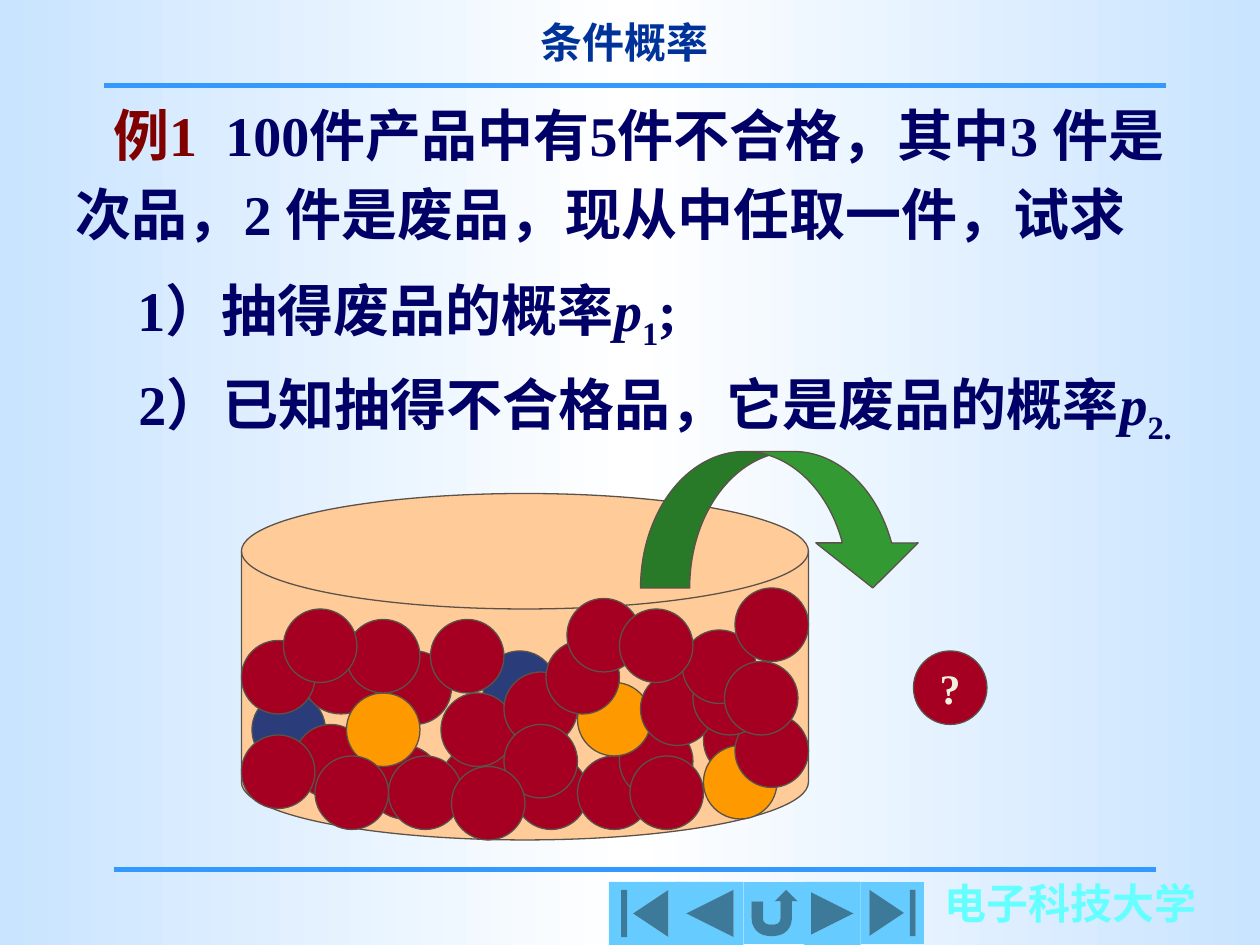
from copy import deepcopy
from dataclasses import dataclass
from typing import NamedTuple

from lxml import etree
from pptx import Presentation
from pptx import util as u
from pptx.dml.color import RGBColor
from pptx.enum import shapes, text
from pptx.oxml import ns

Kind = shapes.MSO_SHAPE


@dataclass(frozen=True)
class Theme:
    font: str = "Times New Roman"
    label_size: float = 24
    body_size: float = 32
    edge_tint: str = "C9E4FF"
    centre_tint: str = "FFFFFF"
    rule: str = "3399FF"
    title: str = "003399"
    school: str = "66FFFF"
    body: str = "000066"
    example: str = "800000"
    button: str = "66CCFF"
    outline: str = "5B5249"
    bin: str = "FFCC99"
    good: str = "A50021"
    scrap: str = "2A3D7A"
    defective: str = "FF9900"
    arrow: str = "339933"
    question: str = "F0EFE0"


class Piece(NamedTuple):
    wording: str
    color: str
    italic: bool = False
    subscript: bool = False
    tracking: float = 0


class Box(NamedTuple):
    left: float
    top: float
    width: float
    height: float


class Ball(NamedTuple):
    column: int
    row: int
    color: str = Theme.good
    height: float = 42


class Button(NamedTuple):
    kind: Kind
    left: float
    width: float
    height: float = 36


THEME = Theme()
GRID = 6
DIAMETER = 42

BALLS = [
    Ball(35, 71), Ball(36, 62), Ball(49, 72), Ball(24, 66, THEME.scrap),
    Ball(67, 67), Ball(55, 72), Ball(46, 62, THEME.scrap), Ball(28, 69),
    Ball(59, 69), Ball(42, 71), Ball(55, 65, THEME.defective),
    Ball(29, 62, height=36), Ball(42, 66), Ball(61, 64),
    Ball(33, 66, THEME.defective), Ball(48, 64), Ball(60, 72),
    Ball(67, 71, THEME.defective), Ball(23, 61), Ball(70, 68), Ball(37, 72),
    Ball(33, 59), Ball(41, 59), Ball(66, 63), Ball(52, 61), Ball(54, 57),
    Ball(65, 60), Ball(59, 58), Ball(30, 72), Ball(23, 70), Ball(69, 63),
    Ball(48, 69), Ball(43, 73), Ball(27, 58), Ball(70, 56),
]

BUTTONS = [
    Button(Kind.ACTION_BUTTON_BEGINNING, 348, 41),
    Button(Kind.ACTION_BUTTON_BACK_OR_PREVIOUS, 386.6, 38.2),
    Button(Kind.ACTION_BUTTON_RETURN, 425, 35.3, 35.3),
    Button(Kind.ACTION_BUTTON_FORWARD_OR_NEXT, 459.4, 32.4),
    Button(Kind.ACTION_BUTTON_END, 492, 36, 35.3),
]


def rgb(color: str) -> RGBColor:
    return RGBColor.from_string(color)


def paint_background(slide) -> None:
    fill = slide.background.fill
    fill.gradient()
    fill.gradient_angle = 0
    first = fill.gradient_stops[0]._gs
    first.addnext(deepcopy(first))
    tints = (THEME.edge_tint, THEME.centre_tint, THEME.edge_tint)
    for stop, tint, position in zip(fill.gradient_stops, tints, (0, 0.5, 1)):
        stop.color.rgb = rgb(tint)
        stop.position = position


def draw_rule(slide, left: float, right: float, y: float) -> None:
    rule = slide.shapes.add_connector(
        shapes.MSO_CONNECTOR.STRAIGHT, u.Pt(left), u.Pt(y), u.Pt(right), u.Pt(y))
    rule.line.color.rgb = rgb(THEME.rule)
    rule.line.width = u.Pt(3)
    etree.SubElement(rule._element.spPr, ns.qn("a:effectLst"))


def draw_shape(parent, kind: Kind, box: Box, color: str, outlined: bool = True):
    shape = parent.shapes.add_shape(kind, *map(u.Pt, box))
    shape.shadow.inherit = False
    shape.fill.solid()
    shape.fill.fore_color.rgb = rgb(color)
    if outlined:
        shape.line.color.rgb = rgb(THEME.outline)
        shape.line.width = u.Pt(0.75)
    else:
        shape.line.fill.background()
    return shape


def write_line(paragraph, pieces: list[Piece], size: float) -> None:
    paragraph.font.name = THEME.font
    paragraph.font.size = u.Pt(size)
    paragraph.font.bold = True
    for piece in pieces:
        run = paragraph.add_run()
        run.text = piece.wording
        run.font.color.rgb = rgb(piece.color)
        if piece.italic:
            run.font.italic = True
        if piece.subscript:
            run.font._element.set("baseline", "-25000")
        if piece.tracking:
            run.font._element.set("spc", str(round(piece.tracking * 100)))


def write_box(slide, box: Box, lines: list[list[Piece]], size: float, wrap: bool = True):
    frame = slide.shapes.add_textbox(*map(u.Pt, box)).text_frame
    frame.word_wrap = wrap
    frame.auto_size = text.MSO_AUTO_SIZE.SHAPE_TO_FIT_TEXT
    for index, pieces in enumerate(lines):
        paragraph = frame.add_paragraph() if index else frame.paragraphs[0]
        write_line(paragraph, pieces, size)
    return frame


def write_texts(slide) -> None:
    write_box(slide, Box(532.8, 498.2, 158.4, 36),
              [[Piece("电子科技大学", THEME.school)]], THEME.label_size, wrap=False)
    title = write_box(slide, Box(240, 6, 234, 36),
                      [[Piece("条件概率", THEME.title)]], THEME.label_size)
    title.paragraphs[0].alignment = text.PP_ALIGN.CENTER

    problem = write_box(slide, Box(36, 54, 684, 127.4), [
        [Piece("例1", THEME.example),
         Piece(" ", THEME.body, tracking=8),
         Piece("100件产品中有5件不合格，其中3 件是", THEME.body)],
        [Piece("次品，2 件是废品，现从中任取一件，试求", THEME.body)],
    ], THEME.body_size)
    opening, ending = problem.paragraphs
    opening._p.get_or_add_pPr().set("indent", str(u.Pt(21.6)))
    ending.line_spacing = 0.6
    ending.space_before = u.Pt(20)

    questions = [
        (Box(71.5, 145, 360, 60), "1）抽得废品的概率", "1", ";"),
        (Box(72, 199, 640, 60), "2）已知抽得不合格品，它是废品的概率", "2.", ""),
    ]
    for box, wording, index, closing in questions:
        pieces = [Piece(wording, THEME.body), Piece("p", THEME.body, italic=True),
                  Piece(index, THEME.body, subscript=True)]
        if closing:
            pieces.append(Piece(closing, THEME.body))
        question = write_box(slide, box, [pieces], THEME.body_size)
        question.paragraphs[0].line_spacing = 1.2


def draw_experiment(slide) -> None:
    drawn = draw_shape(slide, Kind.OVAL, Box(522, 372, DIAMETER, DIAMETER), THEME.good)
    frame = drawn.text_frame
    frame.word_wrap = False
    frame.vertical_anchor = text.MSO_ANCHOR.MIDDLE
    frame.paragraphs[0].alignment = text.PP_ALIGN.CENTER
    write_line(frame.paragraphs[0], [Piece("?", THEME.question)], THEME.label_size)

    batch = slide.shapes.add_group_shape()
    draw_shape(batch, Kind.FLOWCHART_MAGNETIC_DISK, Box(138, 282, 324, 198), THEME.bin)
    for ball in BALLS:
        place = Box(ball.column * GRID, ball.row * GRID, DIAMETER, ball.height)
        draw_shape(batch, Kind.OVAL, place, ball.color)

    arrow = draw_shape(slide, Kind.CURVED_DOWN_ARROW, Box(366, 258, 162, 78), THEME.arrow)
    for index, share in enumerate((0.36, 0.75, 0.33)):
        arrow.adjustments[index] = share


def main() -> None:
    deck = Presentation()
    deck.slide_width, deck.slide_height = u.Pt(720), u.Pt(540)
    slide = deck.slides.add_slide(deck.slide_layouts[6])
    paint_background(slide)
    draw_rule(slide, 65, 660.4, 496.8)
    draw_rule(slide, 59.6, 666, 49)
    write_texts(slide)
    for button in BUTTONS:
        draw_shape(slide, button.kind, Box(button.left, 504, button.width, button.height),
                   THEME.button, outlined=False)
    draw_experiment(slide)
    deck.save("out.pptx")


if __name__ == "__main__":
    main()
